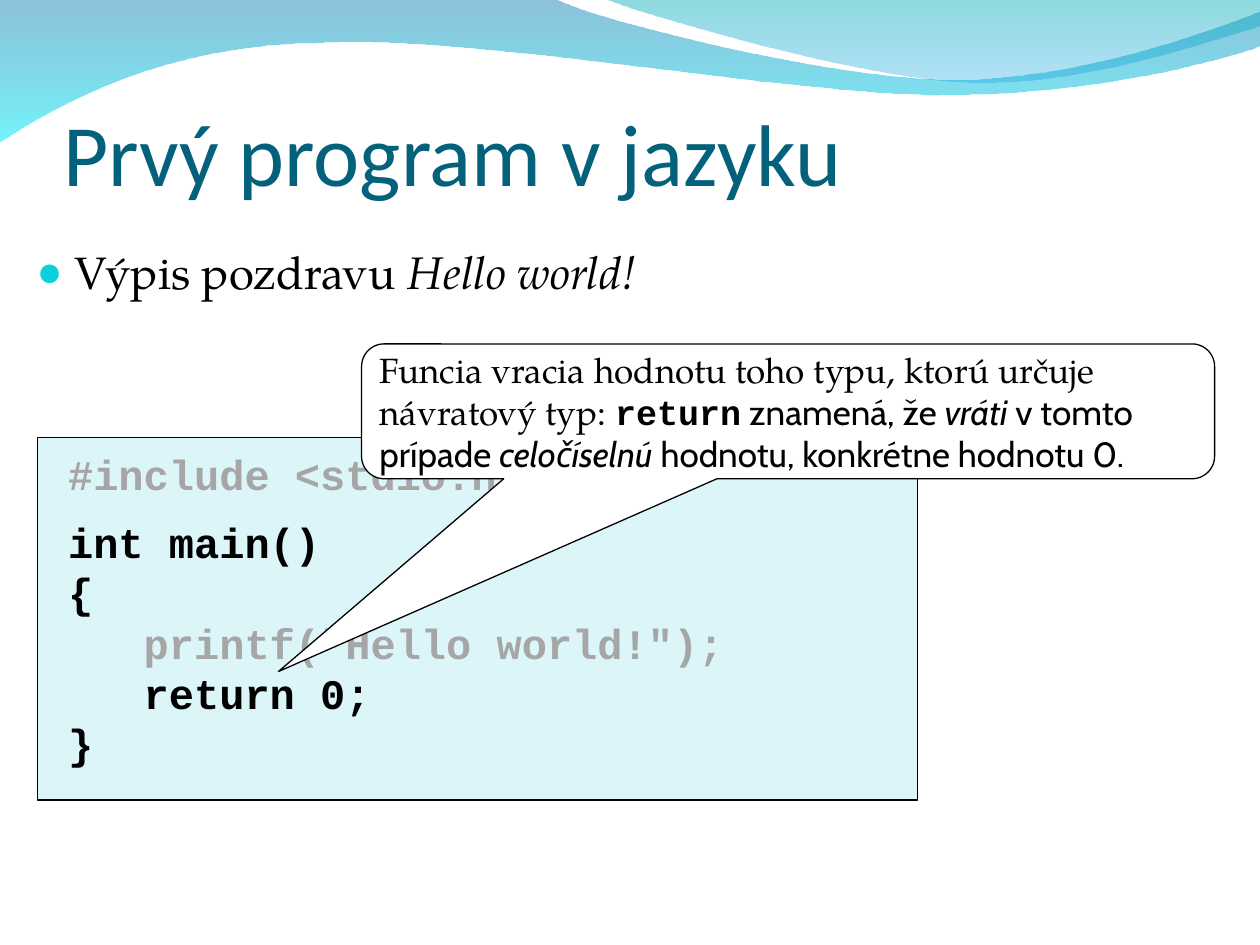
from lxml import etree
from pptx import Presentation
from pptx.dml.color import RGBColor
from pptx.enum.shapes import MSO_SHAPE as SHAPE
from pptx.enum.text import MSO_ANCHOR as ANCHOR, MSO_AUTO_SIZE as AUTO, PP_ALIGN as ALIGN
from pptx.oxml import parse_xml
from pptx.oxml.ns import nsdecls, qn
from pptx.util import Inches, Pt

TITLE = RGBColor(0x04, 0x61, 0x7B)
BULLET = RGBColor(0x0B, 0xD0, 0xD9)
PANEL = RGBColor(0xDB, 0xF5, 0xF9)
GREY = RGBColor(0xA6, 0xA6, 0xA6)
BLACK = RGBColor(0, 0, 0)
WHITE = RGBColor(255, 255, 255)
BLUE, CYAN = RGBColor(0, 0x79, 0xAF), RGBColor(0, 0xEB, 0xF8)
TEAL, SKY = RGBColor(0, 0xAD, 0xB6), RGBColor(0, 0x9B, 0xE5)

SERIF, SANS, HEADING, MONO = "TeX Gyre Pagella", "Cabin", "Calibri", "Courier New"

BACK_WAVE = [
    (0, -0.01), (4.4, -0.01),
    (4.76, 0.17, 6.64, 0.63, 7.58, 0.63), (8.53, 0.63, 9.58, 0.26, 10, 0.09),
    (10.01, 0.36),
    (9.83, 0.44, 8.7, 0.76, 7.46, 0.75), (6.22, 0.75, 3.82, 0.28, 2.57, 0.34),
    (1.29, 0.35, 0.46, 0.83, -0.01, 1.13),
]
FRONT_WAVE = [
    (4.79, -0.01),
    (5.09, 0.11, 6.82, 0.62, 7.69, 0.65), (8.56, 0.69, 9.61, 0.32, 10, 0.21),
    (10, 0),
]
CODE = [
    ("#include <stdio.h>", GREY, 0),
    ("int main()", BLACK, 10),
    ("{", BLACK, 0),
    ('   printf("Hello world!");', GREY, 0),
    ("   return 0;", BLACK, 0),
    ("}", BLACK, 0),
]
NOTE = [
    ("Funcia vracia hodnotu toho typu, ktorú určuje návratový typ: ", SERIF, False, False),
    ("return", MONO, True, False),
    (" znamená, že ", SANS, False, False),
    ("vráti", SANS, False, True),
    (" v tomto prípade ", SANS, False, False),
    ("celočíselnú", SANS, False, True),
    (" hodnotu, konkrétne hodnotu 0.", SANS, False, False),
]


def curve_segments(sp, segments):
    lines = iter(list(sp.element.spPr.iter(qn("a:lnTo"))))
    for seg in segments[1:]:
        line = next(lines)
        if len(seg) == 2:
            continue
        curve = etree.Element(qn("a:cubicBezTo"))
        line.addprevious(curve)
        for part in (line, next(lines), next(lines)):
            curve.append(part[0])
            part.getparent().remove(part)


def add_wave(slide, segments, stops):
    start, *rest = [
        (Inches(x), Inches(y)) for seg in segments for x, y in zip(seg[::2], seg[1::2])
    ]
    builder = slide.shapes.build_freeform(*start)
    builder.add_line_segments(rest, close=True)
    sp = builder.convert_to_shape()
    curve_segments(sp, segments)
    sp.shadow.inherit = False
    sp.line.fill.background()
    sp.fill.gradient()
    sp.fill.gradient_angle = 270
    for stop, (color, opacity) in zip(sp.fill.gradient_stops, stops):
        stop.color.rgb = color
    for clr, (color, opacity) in zip(sp.element.spPr.iter(qn("a:srgbClr")), stops):
        etree.SubElement(clr, qn("a:alpha")).set("val", str(opacity * 1000))


def place(sp, box):
    sp.left, sp.top, sp.width, sp.height = (Inches(v) for v in box)


def add_run(p, text, font, size, color, bold=False, italic=False):
    r = p.add_run()
    r.text = text
    r.font.name, r.font.size = font, Pt(size)
    r.font.bold, r.font.italic = bold, italic
    r.font.color.rgb = color


def add_panel(slide, shape, box, fill):
    sp = slide.shapes.add_shape(shape, *(Inches(v) for v in box))
    sp.shadow.inherit = False
    sp.fill.solid()
    sp.fill.fore_color.rgb = fill
    sp.line.color.rgb = BLACK
    sp.line.width = Pt(0.75)
    return sp


def fill_title(slide, box):
    title = slide.shapes.title
    place(title, box)
    tf = title.text_frame
    tf.auto_size = AUTO.NONE
    tf.vertical_anchor = ANCHOR.BOTTOM
    tf.margin_left = tf.margin_right = tf.margin_bottom = 0
    p = tf.paragraphs[0]
    p.alignment = ALIGN.LEFT
    add_run(p, "Prvý program v jazyku", HEADING, 50, TITLE)


def fill_body(slide, box):
    body = slide.placeholders[1]
    place(body, box)
    tf = body.text_frame
    tf.auto_size = AUTO.NONE
    p = tf.paragraphs[0]
    pPr = p._p.get_or_add_pPr()
    pPr.set("marL", str(Inches(0.3)))
    pPr.set("indent", str(Inches(-0.3)))
    for xml in (
        f'<a:buClr {nsdecls("a")}><a:srgbClr val="{BULLET}"/></a:buClr>',
        f'<a:buSzPct {nsdecls("a")} val="95000"/>',
        f'<a:buChar {nsdecls("a")} char="●"/>',
    ):
        pPr.append(parse_xml(xml))
    p.space_before = Pt(0)
    add_run(p, "Výpis pozdravu ", SERIF, 26, BLACK)
    add_run(p, "Hello world!", SERIF, 26, BLACK, italic=True)


def add_code(slide, box):
    left, top, width, height = box
    add_panel(slide, SHAPE.RECTANGLE, box, PANEL)
    text_box = (left + 0.15, top + 0.04, width - 0.03, height - 0.24)
    tf = slide.shapes.add_textbox(*(Inches(v) for v in text_box)).text_frame
    tf.word_wrap = True
    tf.margin_left = tf.margin_right = Inches(0.09)
    for i, (line, color, gap) in enumerate(CODE):
        p = tf.add_paragraph() if i else tf.paragraphs[0]
        p.line_spacing = Pt(28.8)
        p.space_before = Pt(gap)
        add_run(p, line, MONO, 24, color, bold=True)


def add_callout(slide, box, tip):
    left, top, width, height = box
    sp = add_panel(slide, SHAPE.ROUNDED_RECTANGULAR_CALLOUT, box, WHITE)
    sp.adjustments[0] = (tip[0] - left) / width - 0.5
    sp.adjustments[1] = (tip[1] - top) / height - 0.5
    sp.adjustments[2] = 0.167
    tf = sp.text_frame
    tf.word_wrap = True
    tf.vertical_anchor = ANCHOR.MIDDLE
    tf.margin_left = tf.margin_right = Inches(0.09)
    p = tf.paragraphs[0]
    p.alignment = ALIGN.LEFT
    for text, font, bold, italic in NOTE:
        add_run(p, text, font, 20, BLACK, bold, italic)


def main():
    prs = Presentation()
    prs.slide_width, prs.slide_height = Inches(10), Inches(7.5)
    slide = prs.slides.add_slide(prs.slide_layouts[1])
    add_wave(slide, BACK_WAVE, [(BLUE, 45), (CYAN, 55)])
    add_wave(slide, FRONT_WAVE, [(TEAL, 45), (SKY, 30)])
    fill_title(slide, (0.5, 0.77, 9, 0.85))
    fill_body(slide, (0.19, 1.89, 9.61, 0.76))
    add_code(slide, (0.3, 3.47, 6.98, 2.88))
    add_callout(slide, (2.87, 2.73, 6.77, 1.07), (2.21, 5.33))
    prs.save("out.pptx")


if __name__ == "__main__":
    main()
